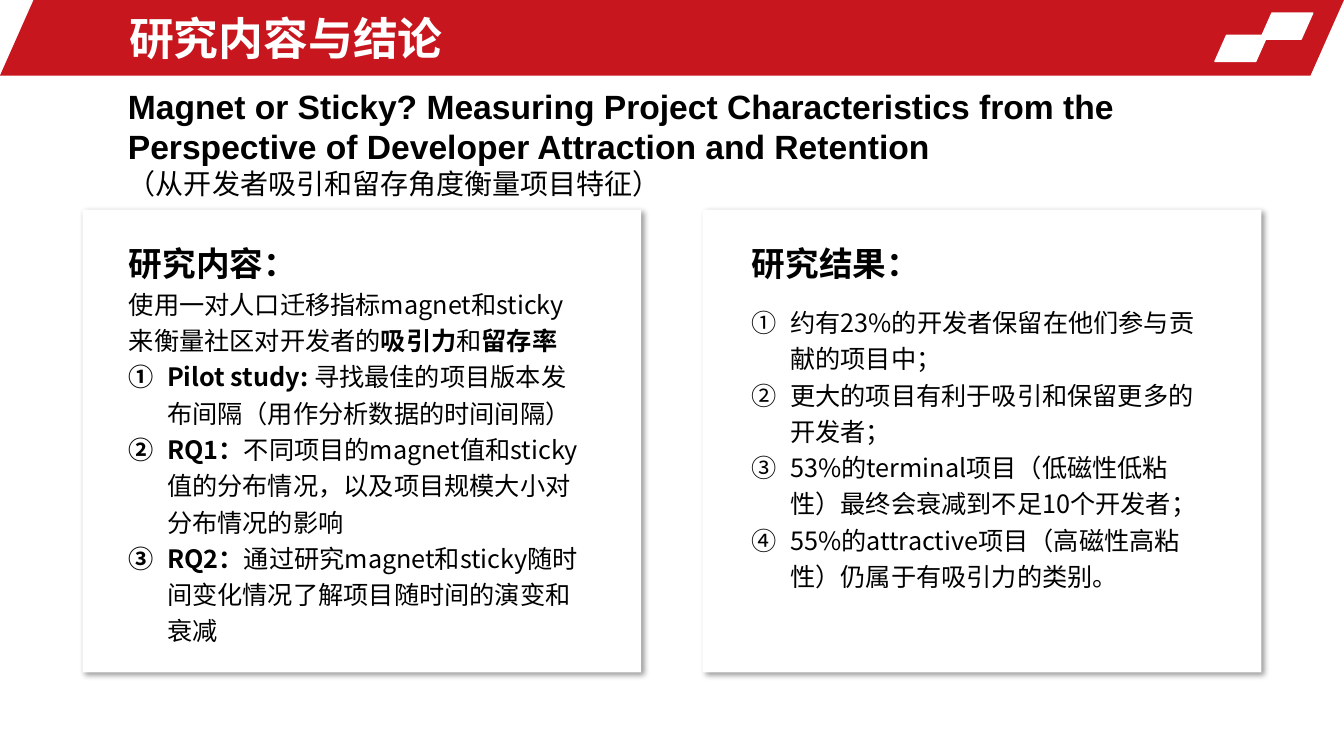
from dataclasses import dataclass

from lxml.etree import SubElement
from pptx import Presentation
from pptx.dml.color import RGBColor
from pptx.enum.shapes import MSO_SHAPE
from pptx.enum.text import MSO_ANCHOR, MSO_AUTO_SIZE, PP_ALIGN
from pptx.oxml.ns import qn
from pptx.util import Inches, Pt

RED = RGBColor(0xC8, 0x16, 0x1E)
WHITE = RGBColor(0xFF, 0xFF, 0xFF)
BLACK = RGBColor(0x00, 0x00, 0x00)
LATIN_FONT = "Arial"
CHINESE_FONT = "Noto Sans CJK SC"


@dataclass(frozen=True)
class Span:
    text: str
    bold: bool = False


@dataclass(frozen=True)
class Line:
    spans: tuple[Span, ...]
    size: int = 18
    numbered: bool = False
    space_before: float = 0


@dataclass(frozen=True)
class Card:
    left: float
    text_left: float
    text_height: float
    lines: tuple[Line, ...]


def heading(text: str) -> Line:
    return Line((Span(text, bold=True),), size=24)


def item(text: str, label: str = "", space_before: float = 0) -> Line:
    spans = (Span(label, bold=True), Span(text)) if label else (Span(text),)
    return Line(spans, numbered=True, space_before=space_before)


CARDS = (
    Card(0.82, 1.18, 4.19, (
        heading("研究内容："),
        Line((Span("使用一对人口迁移指标magnet和sticky来衡量社区对开发者的"),
              Span("吸引力", bold=True), Span("和"), Span("留存率", bold=True))),
        item("寻找最佳的项目版本发布间隔（用作分析数据的时间间隔）", "Pilot study: "),
        item("不同项目的magnet值和sticky值的分布情况，以及项目规模大小对分布情况的影响", "RQ1："),
        item("通过研究magnet和sticky随时间变化情况了解项目随时间的演变和衰减", "RQ2："),
    )),
    Card(6.97, 7.36, 4.01, (
        heading("研究结果："),
        item("约有23%的开发者保留在他们参与贡献的项目中；", space_before=13),
        item("更大的项目有利于吸引和保留更多的开发者；"),
        item("53%的terminal项目（低磁性低粘性）最终会衰减到不足10个开发者；"),
        item("55%的attractive项目（高磁性高粘性）仍属于有吸引力的类别。"),
    )),
)


def format_run(run, size: int, bold: bool, color: RGBColor, latin: str) -> None:
    run.font.size = Pt(size)
    run.font.bold = bold
    run.font.color.rgb = color
    run.font.name = latin
    SubElement(run.font._element, qn("a:ea"), typeface=CHINESE_FONT)


def add_plain_shape(slide, kind, left: float, top: float, width: float,
                    height: float, color: RGBColor, adjustment: float):
    shape = slide.shapes.add_shape(
        kind, Inches(left), Inches(top), Inches(width), Inches(height))
    shape.adjustments[0] = adjustment
    shape.shadow.inherit = False
    shape.fill.solid()
    shape.fill.fore_color.rgb = color
    shape.line.fill.background()
    return shape


def add_text_box(slide, left: float, top: float, width: float, height: float,
                 lines: tuple[Line, ...], latin: str, spacing: float) -> None:
    box = slide.shapes.add_textbox(
        Inches(left), Inches(top), Inches(width), Inches(height))
    frame = box.text_frame
    frame.word_wrap = True
    frame.auto_size = MSO_AUTO_SIZE.SHAPE_TO_FIT_TEXT
    for index, line in enumerate(lines):
        para = frame.add_paragraph() if index else frame.paragraphs[0]
        para.line_spacing = spacing
        if line.space_before:
            para.space_before = Pt(line.space_before)
        if line.numbered:
            properties = para._p.get_or_add_pPr()
            properties.set("marL", str(Inches(0.38)))
            properties.set("indent", str(Inches(-0.38)))
            SubElement(properties, qn("a:buFont"), typeface=CHINESE_FONT)
            SubElement(properties, qn("a:buAutoNum"), type="circleNumDbPlain")
        for span in line.spans:
            run = para.add_run()
            run.text = span.text
            format_run(run, line.size, span.bold, BLACK, latin)


def add_card_shadow(shape) -> None:
    effects = shape._element.spPr.find(qn("a:effectLst"))
    shadow = SubElement(effects, qn("a:outerShdw"), blurRad=str(Pt(4)),
                        dist=str(Pt(3)), dir=str(45 * 60000), algn="tl",
                        rotWithShape="0")
    color = SubElement(shadow, qn("a:srgbClr"), val=str(BLACK))
    SubElement(color, qn("a:alpha"), val="40000")


def add_header(slide) -> None:
    title = slide.shapes.title
    band = add_plain_shape(slide, MSO_SHAPE.PARALLELOGRAM,
                           0, 0, 13.33, 0.75, RED, 0.444)
    title.element.addprevious(band.element)
    for left, top in ((12.5, 0.13), (12.05, 0.35)):
        tile = add_plain_shape(slide, MSO_SHAPE.PARALLELOGRAM,
                               left, top, 0.52, 0.26, WHITE, 0.444)
        tile.line.color.rgb = WHITE
        tile.line.width = Pt(1)

    title.left, title.top = Inches(1.18), Inches(0.05)
    title.width, title.height = Inches(7.74), Inches(0.65)
    frame = title.text_frame
    frame.text = "研究内容与结论"
    frame.auto_size = MSO_AUTO_SIZE.NONE
    frame.vertical_anchor = MSO_ANCHOR.MIDDLE
    para = frame.paragraphs[0]
    para.alignment = PP_ALIGN.LEFT
    format_run(para.runs[0], 32, True, WHITE, LATIN_FONT)


def main() -> None:
    deck = Presentation()
    deck.slide_width, deck.slide_height = Inches(13.33), Inches(7.5)
    slide = deck.slides.add_slide(deck.slide_layouts.get_by_name("Title Only"))

    add_header(slide)

    # Paper title with its translation
    paper_title = (
        heading("Magnet or Sticky? Measuring Project Characteristics from the "
                "Perspective of Developer Attraction and Retention"),
        Line((Span("（从开发者吸引和留存角度衡量项目特征）"),), size=20),
    )
    add_text_box(slide, 1.17, 0.8, 10.95, 1.25, paper_title, LATIN_FONT, 1.0)

    # Content and result cards
    for card in CARDS:
        panel = add_plain_shape(slide, MSO_SHAPE.ROUNDED_RECTANGLE,
                                card.left, 2.08, 5.54, 4.59, WHITE, 0)
        add_card_shadow(panel)
        add_text_box(slide, card.text_left, 2.28, 4.76, card.text_height,
                     card.lines, CHINESE_FONT, 1.2)

    deck.save("out.pptx")


if __name__ == "__main__":
    main()
